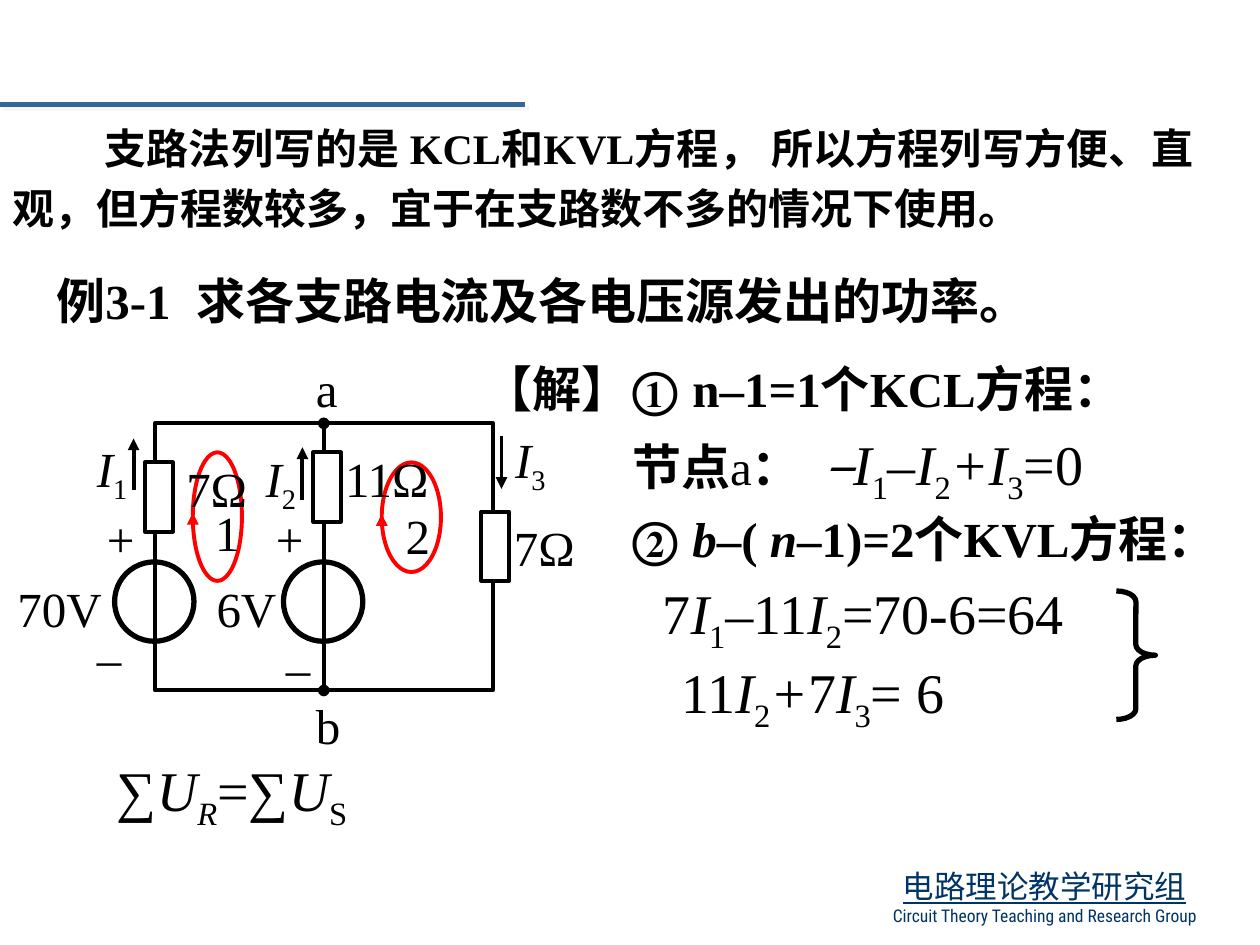
from lxml.etree import SubElement
from pptx import Presentation
from pptx.dml.color import RGBColor
from pptx.enum.shapes import MSO_CONNECTOR, MSO_SHAPE
from pptx.enum.text import MSO_AUTO_SIZE, PP_ALIGN
from pptx.oxml import parse_xml
from pptx.oxml.ns import nsdecls, qn
from pptx.util import Inches, Pt

BLACK = RGBColor(0, 0, 0)
WHITE = RGBColor(255, 255, 255)
RED = RGBColor(255, 0, 0)
NAVY = RGBColor(0, 0x33, 0x66)
STEEL = RGBColor(0x33, 0x66, 0x99)
SERIF, CHINESE = "Times New Roman", "Noto Sans CJK SC"

presentation = Presentation()
presentation.slide_width, presentation.slide_height = Inches(10), Inches(7.5)
slide = presentation.slides.add_slide(presentation.slide_layouts[6])


def add_text(left, top, width, height, *runs, size=28, wrap=True, number=None,
             font=SERIF, color=BLACK):
    """Each run is (text, style, size); style letters: b bold, i italic, u underline, _ subscript."""
    box = slide.shapes.add_textbox(Inches(left), Inches(top), Inches(width), Inches(height))
    frame = box.text_frame
    frame.word_wrap = wrap
    frame.auto_size = MSO_AUTO_SIZE.SHAPE_TO_FIT_TEXT
    paragraph = frame.paragraphs[0]
    if number:
        properties = paragraph._p.get_or_add_pPr()
        properties.set("marL", str(Inches(0.38)))
        properties.set("indent", str(-Inches(0.38)))
        SubElement(properties, qn("a:buAutoNum"), type="circleNumDbPlain", startAt=str(number))
    for text, style, *own_size in runs:
        run = paragraph.add_run()
        run.text = text
        run.font.size = Pt(own_size[0] if own_size else size)
        run.font.bold, run.font.italic = "b" in style, "i" in style
        run.font.underline = "u" in style
        run.font.color.rgb = color
        run.font.name = font
        SubElement(run._r.rPr, qn("a:ea"), typeface=CHINESE)
        if "_" in style:
            run._r.rPr.set("baseline", "-25000")
    return paragraph


def add_line(x1, y1, x2, y2, color=BLACK, weight=2.25, head=None, tail=None, shadow=""):
    line = slide.shapes.add_connector(MSO_CONNECTOR.STRAIGHT, Inches(x1), Inches(y1),
                                      Inches(x2), Inches(y2))
    line.line.color.rgb = color
    line.line.width = Pt(weight)
    for tag, end in (("a:headEnd", head), ("a:tailEnd", tail)):
        if end:
            SubElement(line.line._get_or_add_ln(), qn(tag), type=end)
    line._element.spPr.append(
        parse_xml(f"<a:effectLst {nsdecls('a')}>{shadow}</a:effectLst>"))
    return line


# Footer and title rule
footer = add_text(6.75, 6.83, 3.08, 0.57, ("电路理论教学研究组", "u"),
                  size=18, font=CHINESE, color=NAVY)
footer.alignment = PP_ALIGN.CENTER
english = footer._parent.add_paragraph()
english.alignment = PP_ALIGN.CENTER
english_run = english.add_run()
english_run.text = "Circuit Theory Teaching and Research Group"
english_run.font.size = Pt(10)
english_run.font.name = "Roboto Condensed"
english_run.font.color.rgb = NAVY
add_line(0, 0.83, 4.17, 0.83, STEEL, 3, shadow=(
    '<a:outerShdw dist="35560" dir="2700000"><a:srgbClr val="EEECE1">'
    '<a:alpha val="50000"/></a:srgbClr></a:outerShdw>'))

# Introduction and example title
introduction = add_text(
    0, 0.84, 9.57, 1.07,
    ("支路法列写的是 KCL和KVL方程， 所以方程列写方便、直观，但方程数较多，宜于在支路数不多的情况下使用。", "b"),
    size=24)
introduction.alignment = PP_ALIGN.JUSTIFY
introduction.line_spacing = 1.2
introduction._p.get_or_add_pPr().set("indent", str(Inches(0.73)))
add_text(0.35, 2.1, 1.26, 0.57, ("例3-1", "b"))
add_text(1.46, 2.1, 7.95, 0.57, ("求各支路电流及各电压源发出的功率。", "b"))

# Mesh loops: red ellipse, number, direction arrow
for name, left, top, width, height, text_left, text_top, tail_y, tip_y in (
        ("1", 1.53, 3.59, 0.39, 1.02, 1.61, 3.94, 4.13, 4.07),
        ("2", 3.03, 3.67, 0.47, 0.87, 3.12, 3.96, 4.12, 4.08)):
    loop = slide.shapes.add_shape(MSO_SHAPE.OVAL, Inches(left), Inches(top),
                                  Inches(width), Inches(height))
    loop.shadow.inherit = False
    loop.fill.background()
    loop.line.color.rgb = RED
    loop.line.width = Pt(2.25)
    add_text(text_left, text_top, 0.32, 0.57, (name, ""))
    add_line(left, tail_y, left, tip_y, RED, tail="triangle")

# Solution
add_text(3.74, 2.8, 1.5, 0.57, ("【解】", "b"))
add_text(4.92, 2.8, 4.33, 0.57, (" n–1=1个KCL方程：", "b"), number=1)
add_text(4.92, 3.36, 4.41, 0.63, ("节点", "b", 28), ("a", "", 28), ("：  ", "b", 28),
         ("–I", "i"), ("1", "_"), ("–", ""), ("I", "i"), ("2", "_"),
         ("+I", "i"), ("3", "_"), ("=0", ""), size=32)
add_text(4.92, 3.99, 5.08, 0.57, (" ", "b"), ("b", "bi"), ("–( ", "b"), ("n", "bi"),
         ("–1)=2个KVL方程：", "b"), number=2)
add_text(5.16, 4.54, 3.7, 0.63, ("7", ""), ("I", "i"), ("1", "_"), ("–", "i"), ("11", ""),
         ("I", "i"), ("2", "_"), ("=70-6=64", ""), size=32)
add_text(5.31, 5.17, 2.76, 0.63, ("11", ""), ("I", "i"), ("2", "_"), ("+", "i"), ("7", ""),
         ("I", "i"), ("3", "_"), ("= 6", ""), size=32)
add_text(0.83, 5.95, 3.31, 0.63, ("∑", ""), ("U", "i"), ("R", "i_"), ("=∑", ""),
         ("U", "i"), ("S", "_"), size=32)
brace = slide.shapes.add_shape(MSO_SHAPE.RIGHT_BRACE, Inches(8.86), Inches(4.69),
                               Inches(0.31), Inches(1.02))
brace.adjustments[0] = 0.272
brace.shadow.inherit = False
brace.fill.background()
brace.line.color.rgb = BLACK
brace.line.width = Pt(3)

# Circuit: sources, then the wire frame, then resistors
SOURCES = [(MSO_SHAPE.OVAL, left, 4.46, 0.63, 0.63, 3) for left in (0.91, 2.25)]
FRAME = (MSO_SHAPE.RECTANGLE, 1.23, 3.36, 2.68, 2.12, 2.25)
RESISTORS = [(MSO_SHAPE.RECTANGLE, 1.15 + 1.335 * branch, top, 0.22, 0.55, 2.25)
             for branch, top in enumerate((3.67, 3.59, 4.06))]
for part in (*SOURCES, FRAME, *RESISTORS):
    kind, left, top, width, height, weight = part
    shape = slide.shapes.add_shape(kind, Inches(left), Inches(top),
                                   Inches(width), Inches(height))
    shape.shadow.inherit = False
    shape.line.color.rgb = BLACK
    shape.line.width = Pt(weight)
    if part is FRAME:
        shape.fill.background()
        branch_wire = add_line(2.57, 3.36, 2.57, 5.48, head="oval", tail="oval")
        branch_wire.begin_connect(shape, 0)
        branch_wire.end_connect(shape, 2)
    else:
        shape.fill.solid()
        shape.fill.fore_color.rgb = WHITE

# Component values, polarity signs and node names
for text, left, top, width in (
        ("70V", 0.04, 4.54, 0.94), ("6V", 1.62, 4.54, 1.18),
        ("7Ω", 1.38, 3.59, 1.02), ("11Ω", 2.64, 3.51, 0.94), ("7Ω", 3.98, 4.06, 1.33),
        ("+", 0.75, 3.99, 0.38), ("–", 0.67, 4.93, 0.39),
        ("+", 2.09, 3.99, 0.38), ("–", 2.17, 5.01, 0.39)):
    add_text(left, top, width, 0.57, (text, ""))
add_text(2.41, 2.8, 0.37, 0.57, ("a", ""), wrap=False)
add_text(2.41, 5.47, 0.4, 0.57, ("b", ""), wrap=False)

# Branch currents
for index, left, top, width, x, tail_y, tip_y in (
        ("1", 0.67, 3.43, 0.49, 1.06, 3.89, 3.48),
        ("2", 2.01, 3.51, 0.49, 2.4, 3.97, 3.55),
        ("3", 3.99, 3.36, 0.65, 3.98, 3.46, 3.88)):
    add_line(x, tail_y, x, tip_y, tail="triangle")
    add_text(left, top, width, 0.57, ("I", "i"), (index, "_"))

presentation.save("out.pptx")
